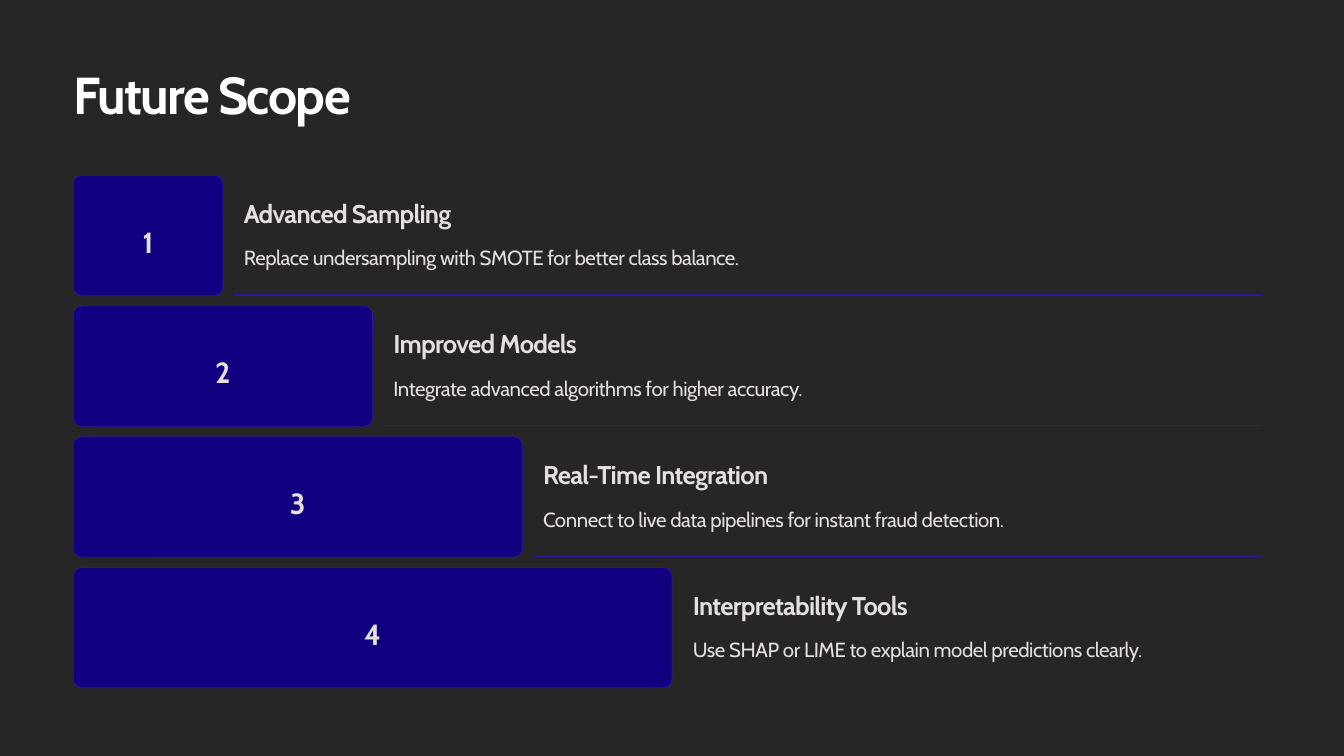
from pptx import Presentation, util as u
from pptx.dml.color import RGBColor
from pptx.enum import shapes, text
from lxml import etree
from pptx.oxml.ns import qn

COLORS = {"back": "272525", "title": "FFFFFF", "body": "E5E0DF", "step": "110080", "edge": "2A1999"}
FONT = "Cabin"
WIDTH, HEIGHT = 20, 11.25
LEFT, RIGHT, TOP = 1.09, 18.76, 2.61
COLUMN = (WIDTH / 2 - LEFT) / 4
ROW, STEP_HEIGHT = 1.945, 1.79
TEXT_GAP, RULE_GAP = 0.31, 0.16

STEPS = [
    ("Advanced Sampling", "Replace undersampling with SMOTE for better class balance.", 8.58),
    ("Improved Models", "Integrate advanced algorithms for higher accuracy.", 7.17),
    ("Real-Time Integration", "Connect to live data pipelines for instant fraud detection.", 7.94),
    ("Interpretability Tools", "Use SHAP or LIME to explain model predictions clearly.", 7.72),
]

deck = Presentation()
deck.slide_width, deck.slide_height = u.Inches(WIDTH), u.Inches(HEIGHT)
slide = deck.slides.add_slide(deck.slide_layouts[6])
slide.background.fill.solid()
slide.background.fill.fore_color.rgb = RGBColor.from_string(COLORS["back"])


def write(frame, words, size, leading, tracking, color="body", bold=True):
    frame.word_wrap = True
    frame.margin_left = frame.margin_right = frame.margin_top = frame.margin_bottom = 0
    paragraph = frame.paragraphs[0]
    paragraph.text = words
    paragraph.line_spacing = u.Pt(leading)
    font = paragraph.font
    font.name, font.size, font.bold = FONT, u.Pt(size), bold
    font.color.rgb = RGBColor.from_string(COLORS[color])
    paragraph.runs[0].font._element.set("spc", str(round(tracking * 100)))
    return paragraph


def add_text(left, top, width, height, *style, **options):
    area = [u.Inches(length) for length in (left, top, width, height)]
    write(slide.shapes.add_textbox(*area).text_frame, *style, **options)


add_text(LEFT, 0.89, 7.75, 1.34, "Future Scope", 55.6, 69.4, -1.7, color="title")

for index, (heading, detail, detail_width) in enumerate(STEPS):
    top = TOP + index * ROW
    step_width = (index + 1) * COLUMN
    step_right = LEFT + step_width

    step = slide.shapes.add_shape(
        shapes.MSO_SHAPE.ROUNDED_RECTANGLE,
        u.Inches(LEFT), u.Inches(top), u.Inches(step_width), u.Inches(STEP_HEIGHT))
    step.adjustments[0] = 0.07
    step.shadow.inherit = False
    step.fill.solid()
    step.fill.fore_color.rgb = RGBColor.from_string(COLORS["step"])
    step.line.color.rgb = RGBColor.from_string(COLORS["edge"])
    step.line.width = u.Pt(0.75)
    number = write(step.text_frame, str(index + 1), 31.2, 50, -0.8)
    number.alignment = text.PP_ALIGN.CENTER
    step.text_frame.vertical_anchor = text.MSO_ANCHOR.MIDDLE

    text_left = step_right + TEXT_GAP
    add_text(text_left, top + 0.31, 3.88, 0.6, heading, 27.5, 34.4, -0.8)
    add_text(text_left, top + 0.91, detail_width, 0.57, detail, 21.9, 35.6, -0.5, bold=False)

    if index < len(STEPS) - 1:
        rule_y = u.Inches(top + STEP_HEIGHT - 0.01)
        rule = slide.shapes.add_connector(
            shapes.MSO_CONNECTOR.STRAIGHT,
            u.Inches(step_right + RULE_GAP), rule_y, u.Inches(RIGHT), rule_y)
        rule.line.color.rgb = RGBColor.from_string(COLORS["edge"])
        rule.line.width = u.Pt(1.5)
        etree.SubElement(rule._element.spPr, qn("a:effectLst"))

deck.save("out.pptx")
